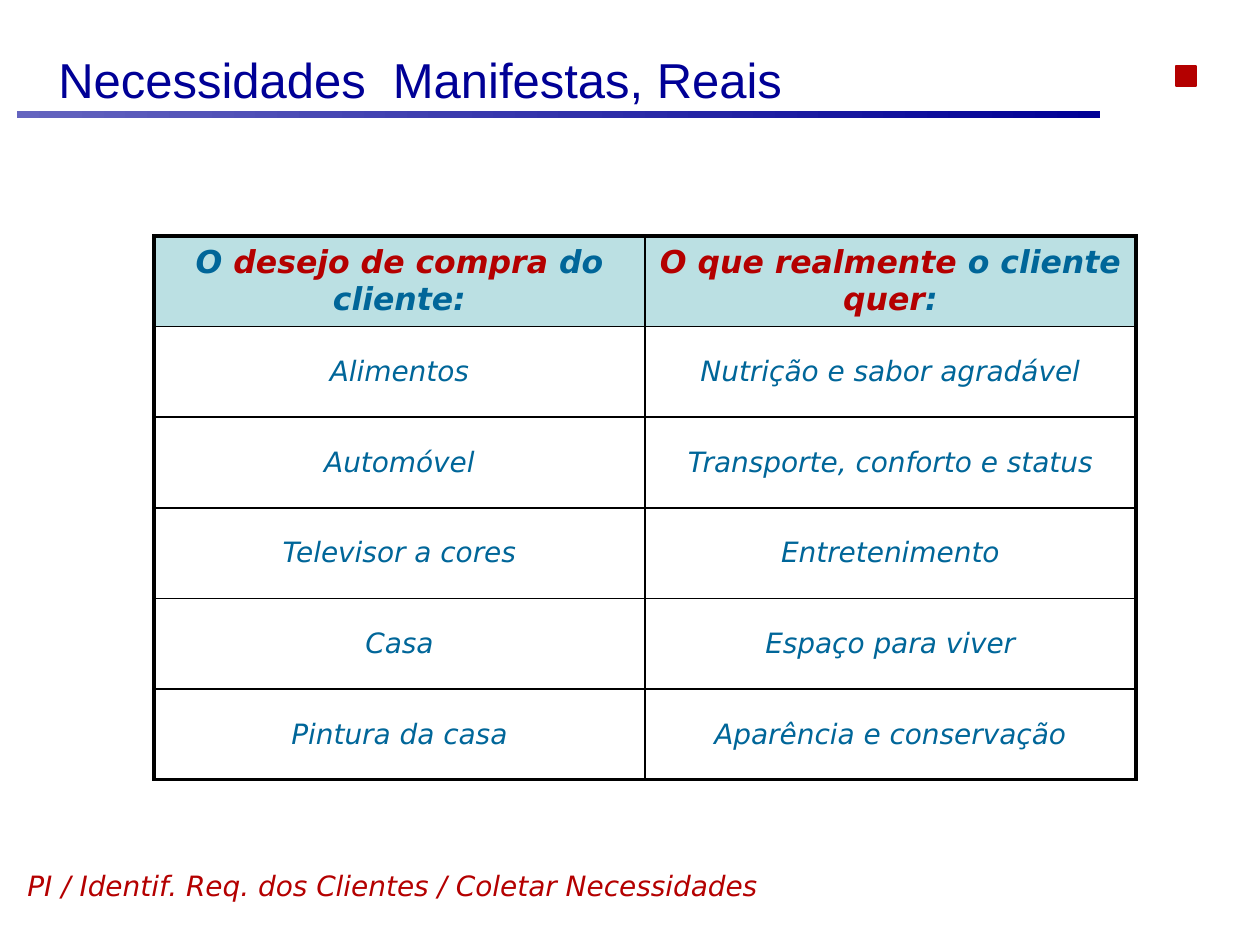
from typing import NamedTuple

from lxml import etree
from pptx import Presentation
from pptx.dml.color import RGBColor
from pptx.enum.text import MSO_ANCHOR, PP_ALIGN
from pptx.oxml.ns import qn
from pptx.util import Emu, Pt

EMU_PER_INCH = 914400
PX_PER_INCH = 126
MIDDLE, TOP = MSO_ANCHOR.MIDDLE, MSO_ANCHOR.TOP
CENTER = PP_ALIGN.CENTER

NAVY = RGBColor(0x00, 0x00, 0x96)
LAVENDER = RGBColor(0x64, 0x64, 0xBF)
RED = RGBColor(0xB4, 0x00, 0x00)
TEAL = RGBColor(0x00, 0x66, 0x99)
PALE_TEAL = RGBColor(0xBB, 0xE0, 0xE3)
BLACK = RGBColor(0x00, 0x00, 0x00)

TITLE_FONT = "Arial"
BODY_FONT = "DejaVu Sans"
OUTER_PT, INNER_PT = 2.25, 1


class Box(NamedTuple):
    left: int
    top: int
    width: int
    height: int


class Run(NamedTuple):
    text: str
    color: RGBColor
    size: int
    font: str = BODY_FONT
    bold: bool = False
    italic: bool = True


def header(text: str, color: RGBColor) -> Run:
    return Run(text, color, 18, bold=True)


def need(text: str) -> list[Run]:
    return [Run(text, TEAL, 16)]


ROWS = [
    (
        [header("O ", TEAL), header("desejo de compra", RED), header(" do cliente:", TEAL)],
        [header("O que realmente", RED), header(" o cliente ", TEAL),
         header("quer", RED), header(":", TEAL)],
    ),
    (need("Alimentos"), need("Nutrição e sabor agradável")),
    (need("Automóvel"), need("Transporte, conforto e status")),
    (need("Televisor a cores"), need("Entretenimento")),
    (need("Casa"), need("Espaço para viver")),
    (need("Pintura da casa"), need("Aparência e conservação")),
]


def px(n: int) -> Emu:
    return Emu(round(n * EMU_PER_INCH / PX_PER_INCH))


def place(box: Box) -> list[Emu]:
    return [px(n) for n in box]


def add_runs(p, runs: list[Run]) -> None:
    for run in runs:
        r = p.add_run()
        r.text = run.text
        r.font.name = run.font
        r.font.size = Pt(run.size)
        r.font.bold = run.bold
        r.font.italic = run.italic
        r.font.color.rgb = run.color


def add_text(slide, box: Box, run: Run, anchor=TOP):
    tf = slide.shapes.add_textbox(*place(box)).text_frame
    tf.word_wrap = True
    tf.vertical_anchor = anchor
    p = tf.paragraphs[0]
    add_runs(p, [run])
    return p


def add_rect(slide, box: Box):
    sp = slide.shapes.add_shape(1, *place(box))
    sp.shadow.inherit = False
    return sp


def add_border(cell, side: str, width: float) -> None:
    tc_pr = cell._tc.get_or_add_tcPr()
    ln = etree.SubElement(tc_pr, qn(f"a:ln{side}"), w=str(Pt(width)))
    fill = etree.SubElement(ln, qn("a:solidFill"))
    etree.SubElement(fill, qn("a:srgbClr"), val=str(BLACK))


def add_needs_table(slide, box: Box) -> None:
    n_rows, n_cols = len(ROWS), len(ROWS[0])
    table = slide.shapes.add_table(n_rows, n_cols, *place(box)).table
    table.first_row = False
    table.horz_banding = False
    for i, row in enumerate(ROWS):
        for j, runs in enumerate(row):
            cell = table.cell(i, j)
            cell.vertical_anchor = MIDDLE
            outer_sides = {"L": j == 0, "R": j == n_cols - 1,
                           "T": i == 0, "B": i == n_rows - 1}
            for side, is_outer in outer_sides.items():
                add_border(cell, side, OUTER_PT if is_outer else INNER_PT)
            if i == 0:
                cell.fill.solid()
                cell.fill.fore_color.rgb = PALE_TEAL
            else:
                cell.fill.background()
            p = cell.text_frame.paragraphs[0]
            p.alignment = CENTER
            add_runs(p, runs)


def main() -> None:
    prs = Presentation()
    prs.slide_width, prs.slide_height = px(1260), px(945)
    slide = prs.slides.add_slide(prs.slide_layouts[6])

    title_rule = add_rect(slide, Box(17, 111, 1083, 7))
    title_rule.fill.gradient()
    title_rule.fill.gradient_angle = 0
    for stop, color in zip(title_rule.fill.gradient_stops, (LAVENDER, NAVY)):
        stop.color.rgb = color
    title_rule.line.fill.background()

    add_text(slide, Box(46, 0, 1134, 158),
             Run("Necessidades  Manifestas, Reais", NAVY, 28, TITLE_FONT, italic=False),
             MIDDLE)
    add_needs_table(slide, Box(154, 236, 982, 544))

    marker = add_rect(slide, Box(1176, 66, 20, 20))
    marker.fill.solid()
    marker.fill.fore_color.rgb = RED
    marker.line.color.rgb = RED
    marker.line.width = Pt(0.75)

    footer = add_text(slide, Box(15, 869, 953, 47),
                      Run("PI / Identif. Req. dos Clientes / Coletar Necessidades", RED, 16))
    footer.line_spacing = 0.8

    prs.save("out.pptx")


if __name__ == "__main__":
    main()
